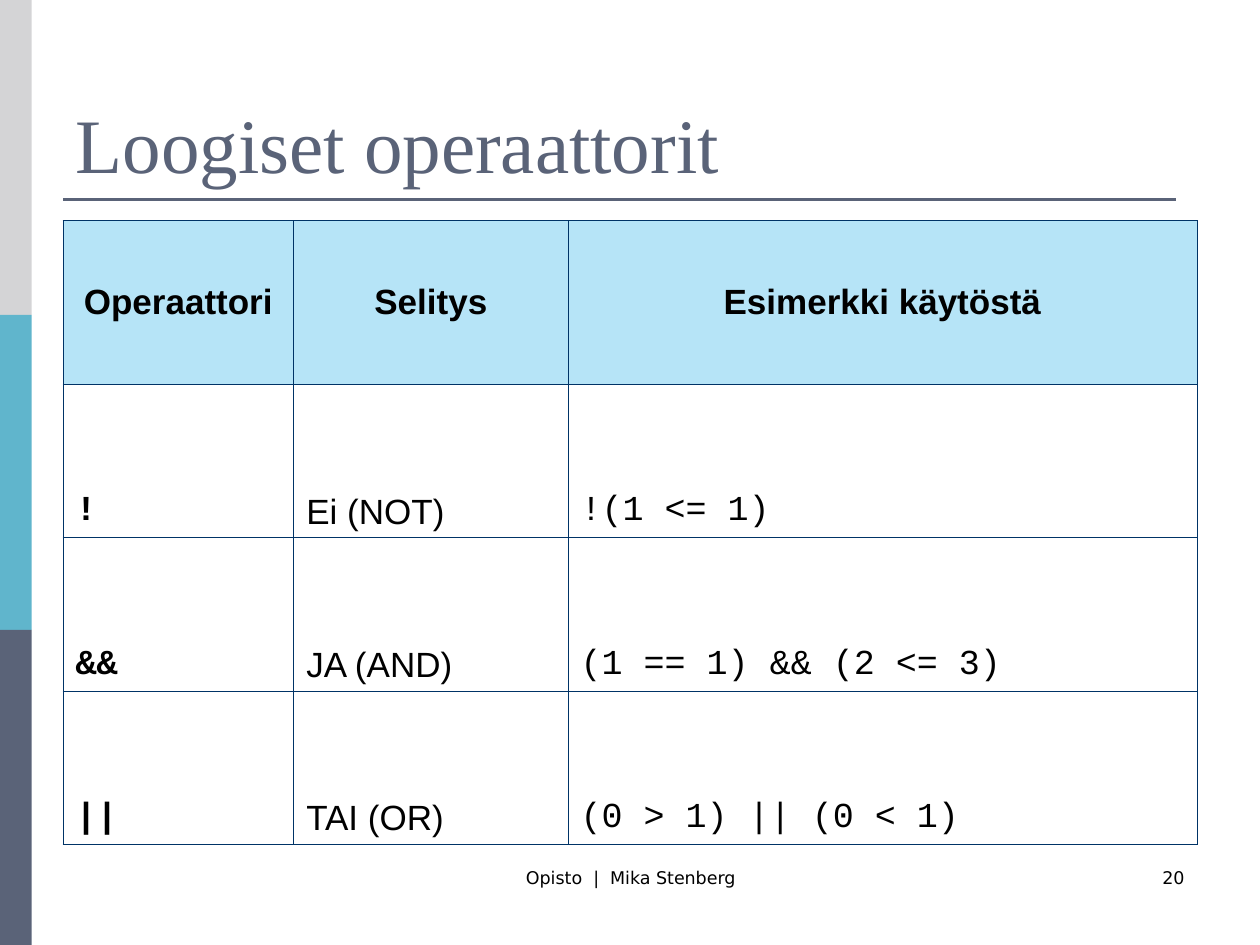
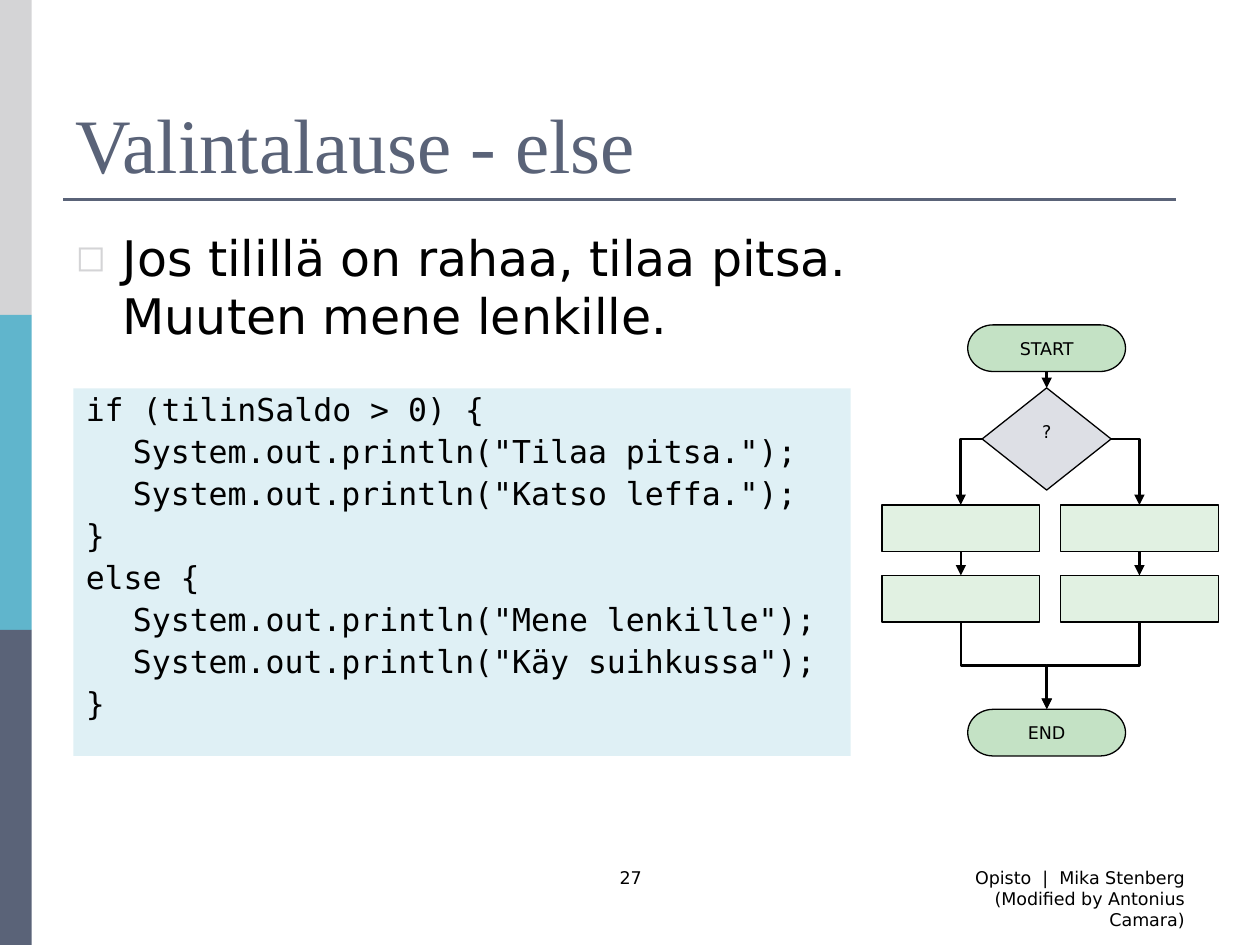
from lxml.etree import SubElement
from pptx import Presentation
from pptx.dml.color import RGBColor
from pptx.enum.shapes import MSO_CONNECTOR as Connector, MSO_SHAPE as Shape
from pptx.enum.text import MSO_ANCHOR as Anchor, MSO_AUTO_SIZE as AutoSize, PP_ALIGN as Align
from pptx.oxml.ns import qn
from pptx.util import Cm, Pt

# Shared palette, fonts and text styles
SLATE, TEAL, SILVER, BLACK = "5A6378", "60B5CC", "D4D4D6", "000000"
HEADER_BLUE, BORDER_BLUE, CODE_BLUE = "B6E4F7", "003366", "DFF0F5"
TERMINAL_GREEN, STEP_GREEN, DECISION_GREY = "C4E2C5", "E1F1E2", "DDDFE5"
SANS, MONO, SERIF = "DejaVu Sans", "DejaVu Sans Mono", "Times New Roman"
TITLE_FONT = {"name": SERIF, "size": Pt(44)}
BODY_FONT = {"name": SANS, "size": Pt(28)}
SMALL_FONT = {"name": SANS, "size": Pt(10)}
CODE_FONT = {"name": MONO, "size": Pt(18)}
TABLE_FONT = {"name": "Arial", "size": Pt(20), "bold": False}
TABLE_CODE_FONT = TABLE_FONT | {"name": "Courier New"}

# Boxes are left, top, width, height in centimetres
TITLE_BOX = (1.27, 0.76, 22.86, 3.18)
CENTRE_FOOTER_BOX = (8.69, 17.35, 8.05, 1.27)
RIGHT_FOOTER_BOX = (18.21, 17.35, 5.92, 1.27)

AUTHOR = "Opisto  |  Mika Stenberg"
OPERATORS = [
    ("Operaattori", "Selitys", "Esimerkki käytöstä"),
    ("!", "Ei (NOT)", "!(1 <= 1)"),
    ("&&", "JA (AND)", "(1 == 1) && (2 <= 3)"),
    ("||", "TAI (OR)", "(0 > 1) || (0 < 1)"),
]
# Indent level and text of each code line
CODE = [
    (0, "if (tilinSaldo > 0) {"),
    (1, 'System.out.println("Tilaa pitsa.");'),
    (1, 'System.out.println("Katso leffa.");'),
    (0, "}"),
    (0, "else {"),
    (1, 'System.out.println("Mene lenkille");'),
    (1, 'System.out.println("Käy suihkussa");'),
    (0, "}"),
]


# Helpers
def rgb(hex_color):
    return RGBColor.from_string(hex_color)


def set_values(target, values):
    for name, value in values.items():
        setattr(target, name, value)


def to_cm(*lengths):
    return [Cm(round(length, 2)) for length in lengths]


def place(shape, box):
    set_values(shape, dict(zip(("left", "top", "width", "height"), to_cm(*box))))


def write(paragraph, text, font, color=BLACK, **paragraph_format):
    paragraph.text = text
    set_values(paragraph, paragraph_format)
    for run in paragraph.runs:
        set_values(run.font, font)
        run.font.color.rgb = rgb(color)


def add_box(shapes, kind, box, fill, outline=None):
    shape = shapes.add_shape(kind, *to_cm(*box))
    shape.shadow.inherit = False
    shape.fill.solid()
    shape.fill.fore_color.rgb = rgb(fill)
    if outline:
        shape.line.color.rgb = rgb(outline)
        shape.line.width = Pt(0.75)
    else:
        shape.line.fill.background()
    return shape


def add_line(shapes, start, end, kind=Connector.STRAIGHT, color=BLACK, arrow=True):
    line = shapes.add_connector(kind, *to_cm(*start, *end))
    line.line.color.rgb = rgb(color)
    line.line.width = Pt(1.5)
    if arrow:
        SubElement(line.line._get_or_add_ln(), qn("a:tailEnd"), type="triangle")
    SubElement(line.element.spPr, qn("a:effectLst"))
    return line


def add_corner(shapes, start, end):
    """Arrow that runs sideways, then down."""
    line = add_line(shapes, start, end, Connector.ELBOW)
    line.element.spPr.find(qn("a:prstGeom")).set("prst", "bentConnector2")


def add_merge(shapes, start, end):
    """Arrow that runs down, sideways and down: an elbow turned by 90 degrees."""
    (x1, y1), (x2, y2) = start, end
    middle_x, middle_y = (x1 + x2) / 2, (y1 + y2) / 2
    half_width, half_height = (x2 - x1) / 2, (y2 - y1) / 2
    line = add_line(shapes, (middle_x - half_height, middle_y + half_width),
                    (middle_x + half_height, middle_y - half_width), Connector.ELBOW)
    line.element.spPr.find(qn("a:xfrm")).set("rot", str(90 * 60000))


# Parts on every slide
def add_footer(slide, box, text, alignment):
    footer = slide.shapes.add_textbox(*to_cm(*box))
    footer.text_frame.word_wrap = True
    write(footer.text_frame.paragraphs[0], text, SMALL_FONT, alignment=alignment)


def add_framed_slide(presentation, layout_index, title, centre_footer, right_footer):
    slide = presentation.slides.add_slide(presentation.slide_layouts[layout_index])
    band_height = 6.35
    for index, color in enumerate((SILVER, TEAL, SLATE)):
        add_box(slide.shapes, Shape.RECTANGLE,
                (0, index * band_height, 0.64, band_height), color)
    add_line(slide.shapes, (1.27, 4.02), (23.7, 4.02), color=SLATE, arrow=False)

    place(slide.shapes.title, TITLE_BOX)
    frame = slide.shapes.title.text_frame
    set_values(frame, {"auto_size": AutoSize.NONE, "vertical_anchor": Anchor.BOTTOM})
    write(frame.paragraphs[0], title, TITLE_FONT, SLATE, alignment=Align.LEFT)

    add_footer(slide, CENTRE_FOOTER_BOX, centre_footer, Align.CENTER)
    add_footer(slide, RIGHT_FOOTER_BOX, right_footer, Align.RIGHT)
    return slide


# Operator table
def add_borders(cell):
    properties = cell._tc.get_or_add_tcPr()
    for side in ("lnL", "lnR", "lnT", "lnB"):
        border = SubElement(properties, qn(f"a:{side}"), w=str(Pt(0.45)))
        fill = SubElement(border, qn("a:solidFill"))
        SubElement(fill, qn("a:srgbClr"), val=BORDER_BLUE)


def add_operator_table(slide, box):
    table = slide.shapes.add_table(len(OPERATORS), 3, *to_cm(*box)).table
    set_values(table, {"first_row": False, "horz_banding": False})
    header_height = 3.3
    row_height = (box[3] - header_height) / (len(OPERATORS) - 1)
    for column, share in zip(table.columns, (0.2035, 0.242, 0.5545)):
        column.width = Cm(round(box[2] * share, 2))

    for row, texts in enumerate(OPERATORS):
        table.rows[row].height = Cm(round(row_height if row else header_height, 2))
        for column, text in enumerate(texts):
            cell = table.cell(row, column)
            add_borders(cell)
            if row == 0:
                cell.fill.solid()
                cell.fill.fore_color.rgb = rgb(HEADER_BLUE)
                cell.vertical_anchor = Anchor.MIDDLE
                font, alignment = TABLE_FONT | {"bold": True}, Align.CENTER
            else:
                cell.fill.background()
                cell.vertical_anchor = Anchor.BOTTOM
                font = TABLE_FONT if column == 1 else TABLE_CODE_FONT
                font, alignment = font | {"bold": column == 0}, Align.LEFT
            write(cell.text_frame.paragraphs[0], text, font, alignment=alignment)


# Bulleted statement
def fill_statement(slide, box, text):
    body = slide.placeholders[1]
    place(body, box)
    body.text_frame.auto_size = AutoSize.NONE
    paragraph = body.text_frame.paragraphs[0]
    write(paragraph, text, BODY_FONT, space_before=Pt(7))
    properties = paragraph._p.get_or_add_pPr()
    properties.set("marL", str(Cm(0.95)))
    properties.set("indent", str(Cm(-0.95)))
    bullet_color = SubElement(properties, qn("a:buClr"))
    SubElement(bullet_color, qn("a:srgbClr"), val=SILVER)
    SubElement(properties, qn("a:buSzPct"), val="75000")
    SubElement(properties, qn("a:buFont"), typeface=SANS)
    SubElement(properties, qn("a:buChar"), char="◻")


# Code panel
def add_code_panel(slide, box):
    panel = add_box(slide.shapes, Shape.RECTANGLE, box, CODE_BLUE)
    frame = panel.text_frame
    set_values(frame, {"word_wrap": True, "vertical_anchor": Anchor.TOP})
    for index, (level, text) in enumerate(CODE):
        paragraph = frame.add_paragraph() if index else frame.paragraphs[0]
        write(paragraph, text, CODE_FONT, alignment=Align.LEFT,
              line_spacing=0.9, space_before=Pt(4.5))
        paragraph._p.get_or_add_pPr().set("marL", str(Cm(0.95 * level)))


# Flowchart with two branches
def add_flowchart(slide, box):
    left, top, width, height = box
    shapes = slide.shapes.add_group_shape().shapes
    node_width, node_height = 3.18, 0.94
    trunk = left + 3.32
    branches = (left + node_width / 2, left + width - node_width / 2)
    step_tops = (top + 3.63, top + 5.05)
    end_top = top + height - node_height
    decision_top, decision_width, decision_height = top + 1.27, 2.6, 2.06

    def add_node(kind, center, node_top, fill, text="", size=(node_width, node_height)):
        node = add_box(shapes, kind, (center - size[0] / 2, node_top, *size), fill, BLACK)
        if text:
            node.text_frame.vertical_anchor = Anchor.MIDDLE
            write(node.text_frame.paragraphs[0], text, SMALL_FONT, alignment=Align.CENTER)
        return node

    add_node(Shape.FLOWCHART_TERMINATOR, trunk, top, TERMINAL_GREEN, "START")
    add_node(Shape.FLOWCHART_TERMINATOR, trunk, end_top, TERMINAL_GREEN, "END")
    decision = add_node(Shape.FLOWCHART_DECISION, trunk, decision_top, DECISION_GREY, "?",
                        (decision_width, decision_height))
    set_values(decision.text_frame, {"vertical_anchor": Anchor.TOP, "margin_top": Cm(0.15)})
    add_line(shapes, (trunk, top + node_height), (trunk, decision_top))

    for side, center in zip((-1, 1), branches):
        for step_top in step_tops:
            add_node(Shape.FLOWCHART_PROCESS, center, step_top, STEP_GREEN)
        first_top, last_top = step_tops
        add_corner(shapes, (trunk + side * decision_width / 2,
                            decision_top + decision_height / 2), (center, first_top))
        add_line(shapes, (center, first_top + node_height), (center, last_top))
        add_merge(shapes, (center, last_top + node_height), (trunk, end_top))


# Slides
def build_operator_slide(presentation):
    slide = add_framed_slide(presentation, 5, "Loogiset operaattorit", AUTHOR, "20")
    add_operator_table(slide, (1.27, 4.45, 22.86, 12.57))


def build_else_slide(presentation):
    slide = add_framed_slide(presentation, 1, "Valintalause - else", "27",
                             f"{AUTHOR} (Modified by Antonius Camara)")
    fill_statement(slide, (1.27, 4.45, 22.86, 2.74),
                   "Jos tilillä on rahaa, tilaa pitsa.\nMuuten mene lenkille.")
    add_code_panel(slide, (1.48, 7.83, 15.67, 7.41))
    add_flowchart(slide, (17.78, 6.55, 6.78, 8.69))


def main():
    presentation = Presentation()
    set_values(presentation, {"slide_width": Cm(25.4), "slide_height": Cm(19.05)})
    build_operator_slide(presentation)
    build_else_slide(presentation)
    presentation.save("out.pptx")


if __name__ == "__main__":
    main()
